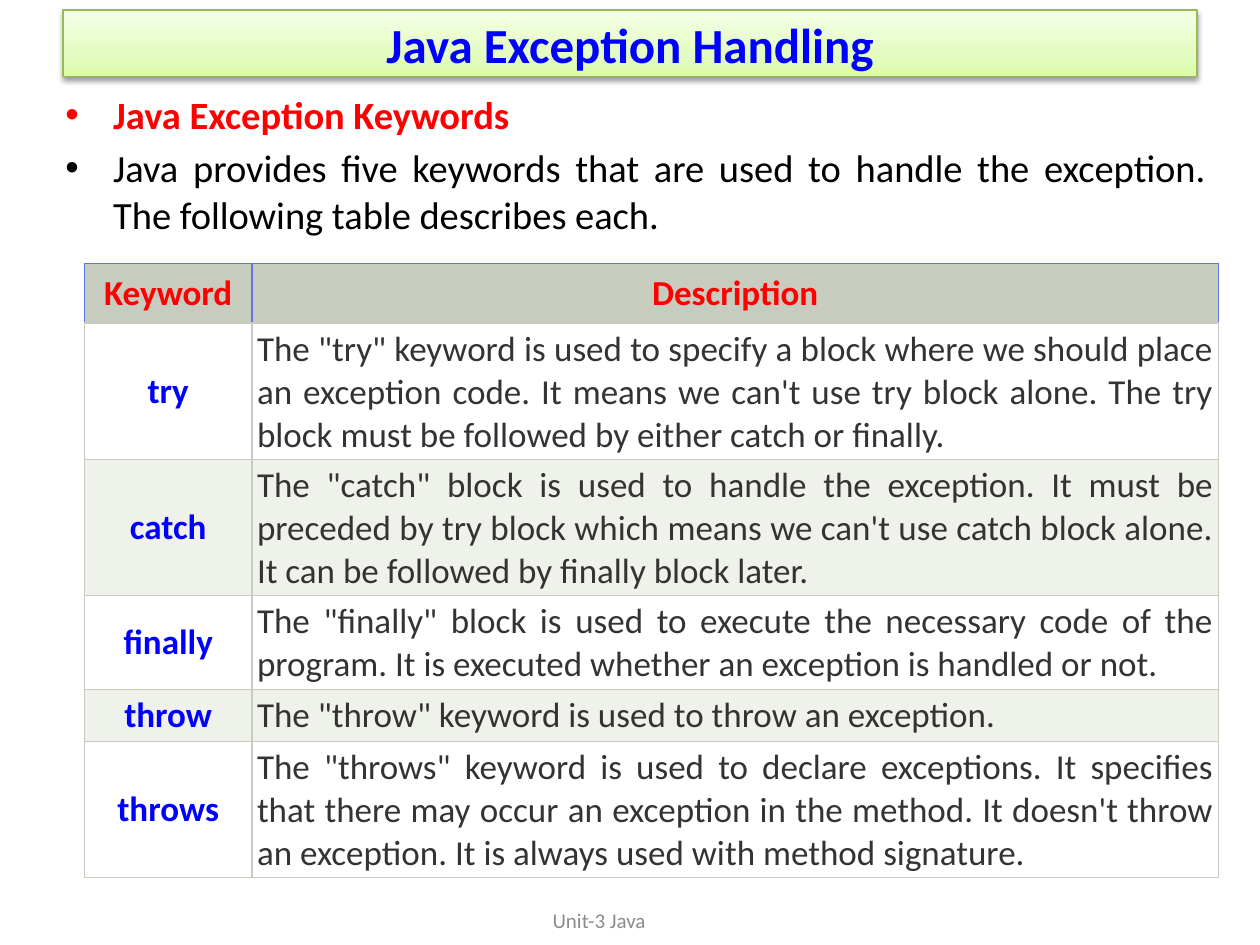
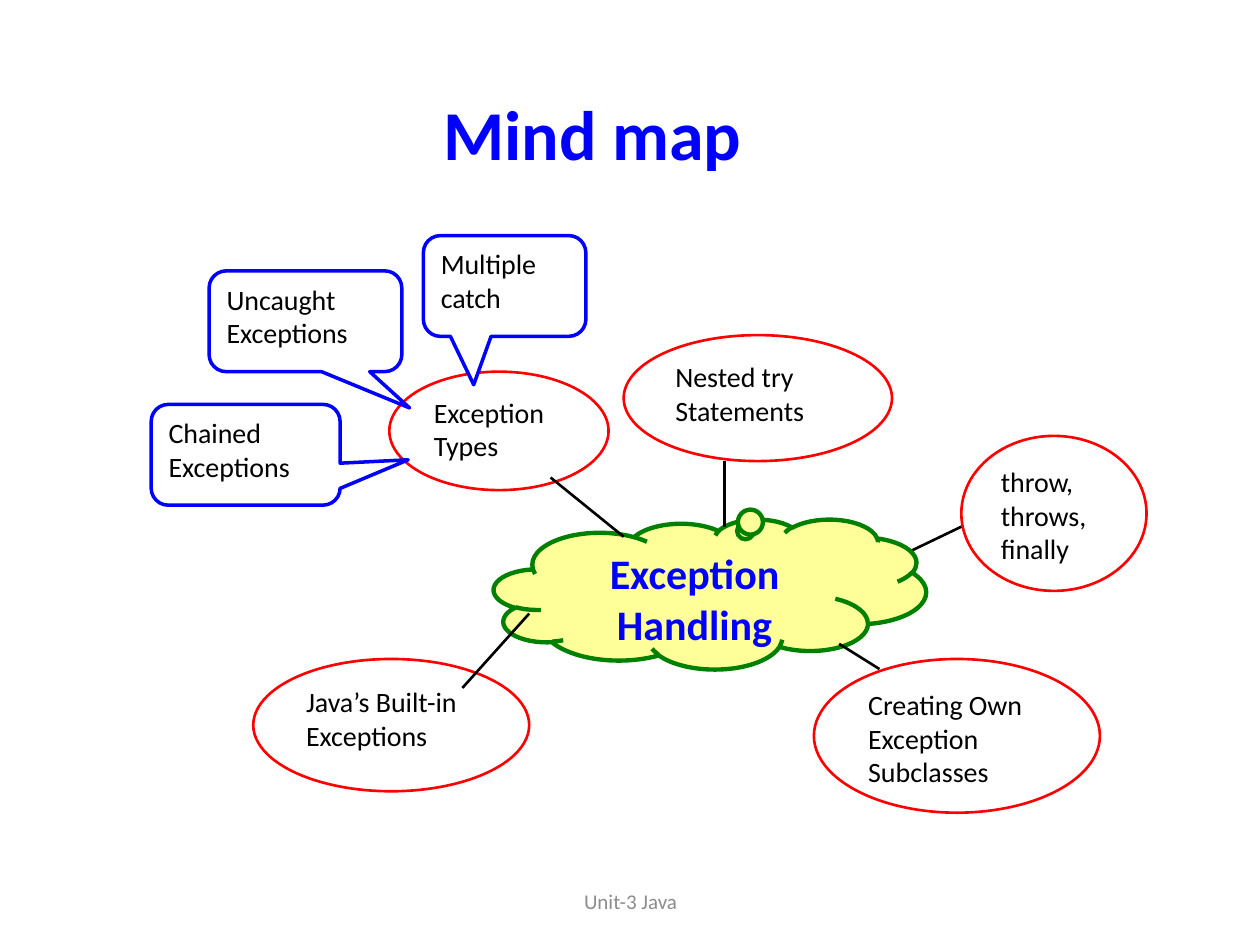
"""Build two slides on Java exception handling: a keyword table and a mind map."""
import copy

import lxml.etree
import pptx
import pptx.dml.color
import pptx.enum.shapes
import pptx.enum.text
import pptx.oxml.ns
import pptx.util

COLORS = {
    "blue": "0000FF", "red": "FF0000", "black": "000000", "white": "FFFFFF",
    "gray": "8C8C8C", "text": "333333", "green": "008000", "yellow": "FFFF99",
    "sage": "C7CCBE", "band": "EFF1EB", "edge": "6073EC", "olive": "98B955",
    "lime": "DAFDA7", "pale_lime": "E4FCC2", "mist": "F5FFE7",
}
RGB = {name: pptx.dml.color.RGBColor.from_string(value) for name, value in COLORS.items()}
FONT = "Calibri"
COLUMNS, ROWS = 100, 75
SHAPE = pptx.enum.shapes.MSO_SHAPE
ALIGN = pptx.enum.text.PP_ALIGN
MIDDLE = pptx.enum.text.MSO_ANCHOR.MIDDLE
qn = pptx.oxml.ns.qn

deck = pptx.Presentation()
deck.slide_width = pptx.util.Inches(10)
deck.slide_height = pptx.util.Inches(7.5)


def grid(left, top, width=0, height=0):
    """Turn grid columns and rows into slide lengths."""
    column, row = deck.slide_width / COLUMNS, deck.slide_height / ROWS
    return [pptx.util.Emu(round(count * step))
            for count, step in zip((left, top, width, height), (column, row, column, row))]


def write(para, text, size, color, bold=False, align=ALIGN.LEFT):
    """Add one styled run to a paragraph."""
    para.alignment = align
    span = para.add_run()
    span.text = text
    span.font.name = FONT
    span.font.size = pptx.util.Pt(size)
    span.font.bold = bold
    span.font.color.rgb = RGB[color]


pages = [deck.slides.add_slide(deck.slide_layouts[6]) for _ in range(2)]
keyword_page, map_page = pages

for page, corner in zip(pages, [(31.7, 71), (34.2, 69.5)]):
    footer = page.shapes.add_textbox(*grid(*corner, 31.7, 4))
    footer.text_frame.word_wrap = True
    footer.text_frame.vertical_anchor = MIDDLE
    write(footer.text_frame.paragraphs[0], "Unit-3 Java", 12, "gray", align=ALIGN.CENTER)

intro = keyword_page.shapes.add_textbox(*grid(4.2, 6.7, 92.5, 57.5)).text_frame
intro.word_wrap = True
intro_lines = [
    ("Java Exception Keywords", "red", True),
    ("Java provides five keywords that are used to handle the exception. "
     "The following table describes each.", "black", False),
]
indent = grid(3.8, 0)[0]
for number, (text, color, bold) in enumerate(intro_lines):
    para = intro.add_paragraph() if number else intro.paragraphs[0]
    properties = para._p.get_or_add_pPr()
    properties.set("marL", str(indent))
    properties.set("indent", str(-indent))
    lxml.etree.SubElement(properties, qn("a:buFont"), typeface="Arial")
    lxml.etree.SubElement(properties, qn("a:buChar"), char="•")
    if number:
        para.space_before = pptx.util.Pt(4.4)
    write(para, text, 22, color, bold, ALIGN.JUSTIFY)

banner = keyword_page.shapes.add_shape(SHAPE.RECTANGLE, *grid(5, 0.8, 90, 5.3))
banner.fill.gradient()
banner.fill.gradient_angle = 90
stop_list = banner._element.spPr.find(".//" + qn("a:gsLst"))
stop_list.append(copy.deepcopy(stop_list[0]))
for stop, position, color in zip(banner.fill.gradient_stops, (0, 0.35, 1),
                                 ("lime", "pale_lime", "mist")):
    stop.position = position
    stop.color.rgb = RGB[color]
banner.line.color.rgb = RGB["olive"]
banner.line.width = pptx.util.Pt(0.75)
banner.shadow.inherit = False
shadow = lxml.etree.SubElement(
    banner._element.spPr.find(qn("a:effectLst")), qn("a:outerShdw"),
    blurRad=str(pptx.util.Pt(3.1)), dist=str(pptx.util.Pt(1.6)), dir="5400000", rotWithShape="0")
shade = lxml.etree.SubElement(shadow, qn("a:srgbClr"), val=COLORS["black"])
lxml.etree.SubElement(shade, qn("a:alpha"), val="38000")
banner.text_frame.vertical_anchor = MIDDLE
write(banner.text_frame.paragraphs[0], "Java Exception Handling", 28, "blue", True, ALIGN.CENTER)

keywords = [
    ("Keyword", "Description", 3),
    ("try", 'The "try" keyword is used to specify a block where we should place an exception code. '
     "It means we can't use try block alone. "
     "The try block must be followed by either catch or finally.", 10.6),
    ("catch", 'The "catch" block is used to handle the exception. It must be preceded by try block '
     "which means we can't use catch block alone. "
     "It can be followed by finally block later.", 8.9),
    ("finally", 'The "finally" block is used to execute the necessary code of the program. '
     "It is executed whether an exception is handled or not.", 7.3),
    ("throw", 'The "throw" keyword is used to throw an exception.', 4.1),
    ("throws", 'The "throws" keyword is used to declare exceptions. It specifies that there may '
     "occur an exception in the method. It doesn't throw an exception. "
     "It is always used with method signature.", 10.6),
]
table = keyword_page.shapes.add_table(
    len(keywords), 2, *grid(6.7, 20.9, 90, sum(entry[2] for entry in keywords))).table
table.first_row = table.horz_banding = False
for column, width in zip(table.columns, (13.3, 76.7)):
    column.width = grid(width, 0)[0]
for row_number, (keyword, description, height) in enumerate(keywords):
    header = row_number == 0
    table.rows[row_number].height = grid(0, height)[1]
    for column_number, text in enumerate((keyword, description)):
        cell = table.cell(row_number, column_number)
        cell.margin_left = cell.margin_right = grid(0.7 if header else 0.4, 0)[0]
        cell.margin_top = cell.margin_bottom = grid(0, 0.7 if header else 0.4)[1]
        for side in "LRTB":
            edge = lxml.etree.SubElement(cell._tc.get_or_add_tcPr(), qn("a:ln" + side),
                                         w=str(pptx.util.Pt(0.75)))
            paint = lxml.etree.SubElement(edge, qn("a:solidFill"))
            color = "edge" if header and side != "B" else "sage"
            lxml.etree.SubElement(paint, qn("a:srgbClr"), val=COLORS[color])
        cell.fill.solid()
        cell.fill.fore_color.rgb = RGB["sage" if header else ("band", "white")[row_number % 2]]
        is_term = column_number == 0
        if is_term and not header:
            cell.vertical_anchor = MIDDLE
        write(cell.text_frame.paragraphs[0], text, 20,
              "red" if header else "blue" if is_term else "text",
              header or is_term, ALIGN.CENTER if header or is_term else ALIGN.JUSTIFY)

heading = map_page.shapes.add_textbox(*grid(34.2, 6.7, 25.9, 7.7)).text_frame
heading.word_wrap = False
heading.auto_size = pptx.enum.text.MSO_AUTO_SIZE.SHAPE_TO_FIT_TEXT
write(heading.paragraphs[0], "Mind map", 40, "blue", True)

styles = {
    "topic": (SHAPE.OVAL, "white", "red", 1.5, (16, "black")),
    "note": (SHAPE.ROUNDED_RECTANGULAR_CALLOUT, "white", "blue", 2, (16, "black")),
    "center": (SHAPE.CLOUD_CALLOUT, "yellow", "green", 2.5, (24, "blue", True, ALIGN.CENTER)),
}
nodes = [
    ("topic", "throw, throws, finally", (76.3, 34.6, 14.7, 12.3), (), (71.1, 44.3, 76.3, 41.8)),
    ("center", "Exception Handling", (39.2, 41.2, 34.3, 11.9), (0.08, -0.41), ()),
    ("topic", "Exception Types", (30.9, 29.5, 17.4, 9.4), (), (43.7, 37.9, 49.5, 42.6)),
    ("note", "Uncaught Exceptions", (16.6, 21.5, 15.3, 8), (0.54, 0.86, 0.17), ()),
    ("topic", "Java’s Built-in Exceptions", (20.1, 52.3, 21.9, 10.5), (), (36.7, 54.6, 42, 48.7)),
    ("topic", "Creating Own Exception Subclasses", (64.6, 52.3, 22.7, 12.2), (),
     (69.8, 53.1, 66.6, 51.1)),
    ("topic", "Nested try Statements", (49.5, 26.6, 21.3, 10), (), (57.5, 36.6, 57.5, 41.8)),
    ("note", "Multiple catch", (33.6, 18.7, 12.9, 8), (-0.19, 0.98, 0.17), ()),
    ("note", "Chained Exceptions", (12, 32.1, 15, 8), (0.86, 0.05, 0.17), ()),
]
for style, text, place, pointer, link in nodes:
    kind, fill, outline, weight, lettering = styles[style]
    box = map_page.shapes.add_shape(kind, *grid(*place))
    for number, value in enumerate(pointer):
        box.adjustments[number] = value
    box.shadow.inherit = False
    box.fill.solid()
    box.fill.fore_color.rgb = RGB[fill]
    box.line.color.rgb = RGB[outline]
    box.line.width = pptx.util.Pt(weight)
    box.text_frame.word_wrap = True
    box.text_frame.vertical_anchor = pptx.enum.text.MSO_ANCHOR.TOP
    write(box.text_frame.paragraphs[0], text, *lettering)
    if link:
        branch = map_page.shapes.add_connector(
            pptx.enum.shapes.MSO_CONNECTOR.STRAIGHT, *grid(*link))
        branch.line.color.rgb = RGB["black"]
        branch.line.width = pptx.util.Pt(1.5)
        lxml.etree.SubElement(branch._element.spPr, qn("a:effectLst"))

deck.save("out.pptx")
